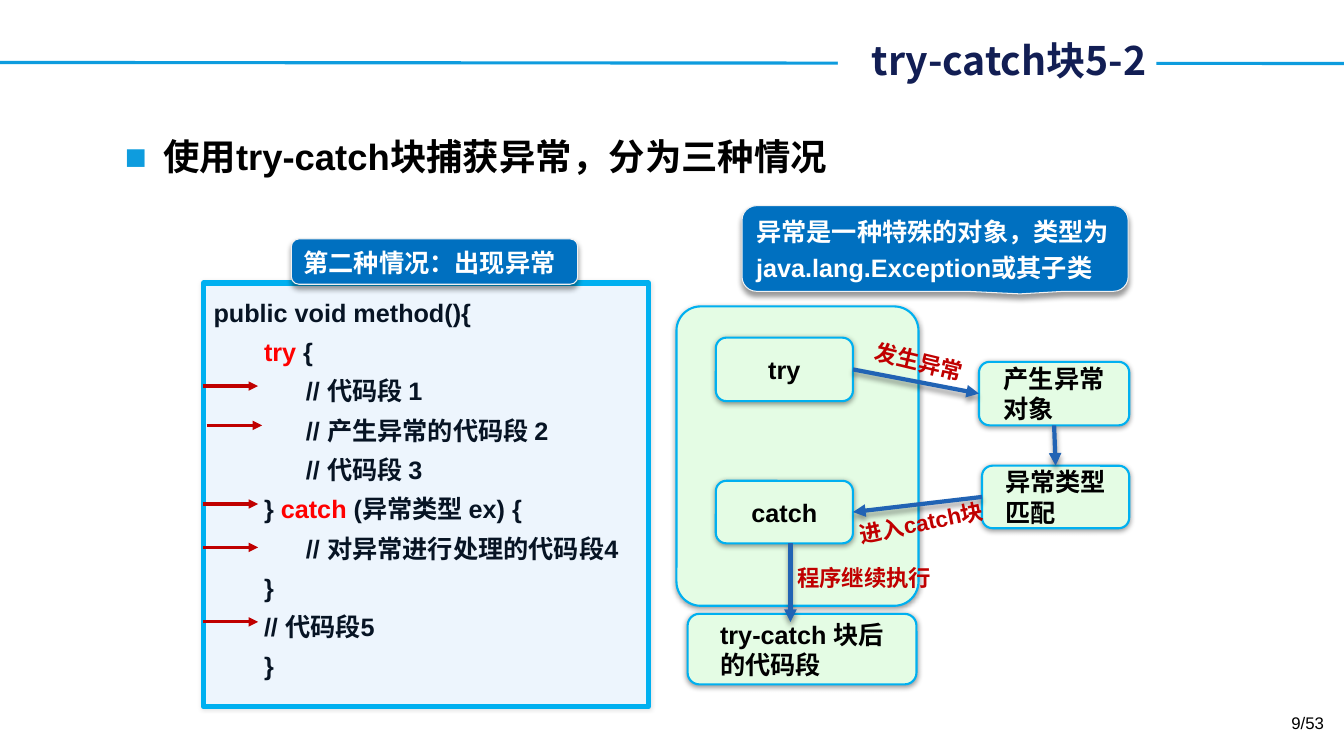
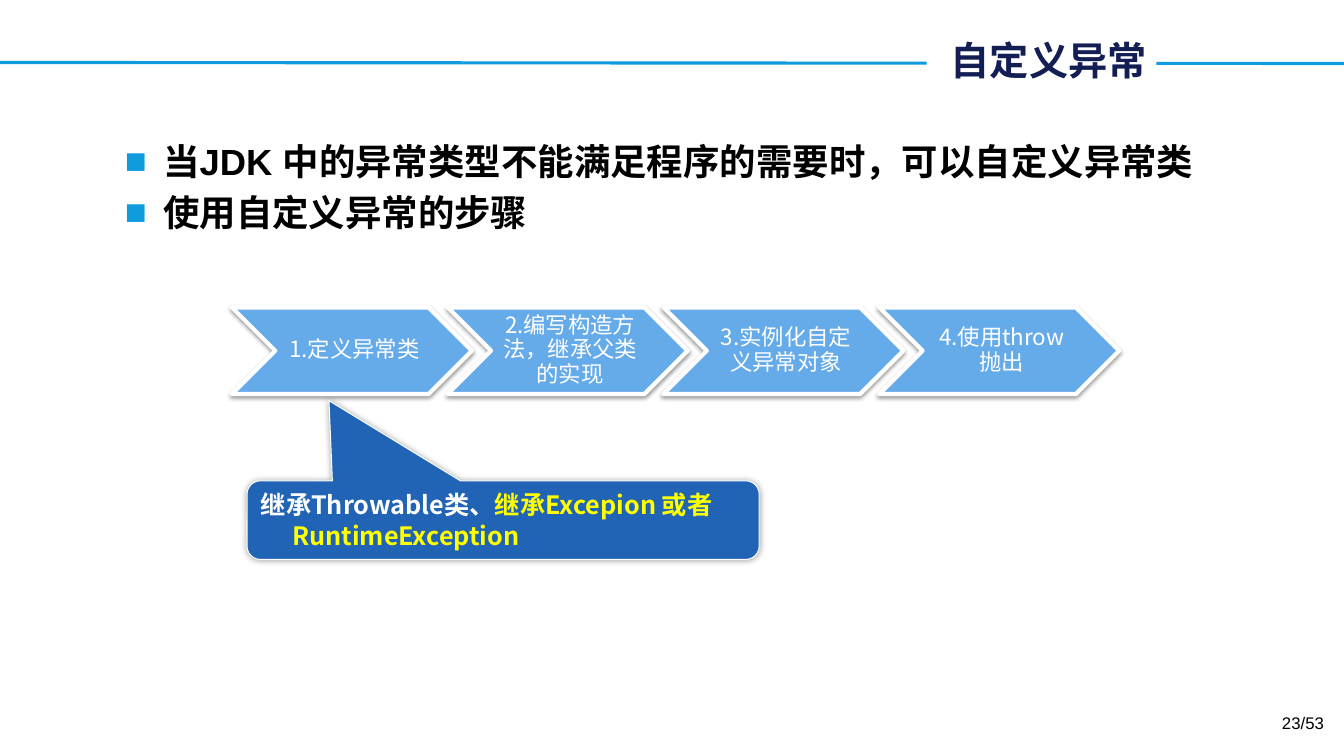
"""Build two slides on Java exception handling."""
import dataclasses
import typing

import lxml.etree
import pptx
import pptx.dml.color
import pptx.enum.shapes
import pptx.enum.text
import pptx.oxml.ns
import pptx.util

EMU_PER_PX = 9144
ARIAL = "Arial"
NOTO = "Noto Sans CJK SC"
COLORS = {
    "rule": "0E9CDE", "title": "121E54", "black": "000000", "white": "FFFFFF",
    "mint": "E4FCE4", "sky": "00B0F0", "paper": "EDF5FD", "ink": "071424",
    "keyword": "FF0000", "marker": "C00000", "banner": "0070C0",
    "edge": "F2F2F2", "arrow": "2163B4", "step": "65AAE9", "accent": "FFFF00",
}
SHAPES = pptx.enum.shapes.MSO_SHAPE
ALIGN = pptx.enum.text.PP_ALIGN
ANCHOR = pptx.enum.text.MSO_ANCHOR


class Frame(typing.NamedTuple):
    left: int
    top: int
    width: int
    height: int


class Shadow(typing.NamedTuple):
    alpha: int
    blur: float
    distance: float
    angle: int


class Span(typing.NamedTuple):
    text: str
    color: str


class Paragraph(typing.NamedTuple):
    spans: tuple[Span, ...]
    margin: int = 0


@dataclasses.dataclass(frozen=True)
class Style:
    fill: str
    line: str
    weight: float
    shadow: Shadow
    kind: typing.Any = SHAPES.ROUNDED_RECTANGLE
    adjustments: tuple[float, ...] = ()


@dataclasses.dataclass(frozen=True)
class Label:
    text: str
    frame: Frame
    rotation: float = 0
    inset: int = 0


SOFT = Shadow(40, 4, 1, 90)
DEEP = Shadow(40, 4, 3, 90)
NODE = Style("mint", "sky", 1.5, SOFT)
PANEL = dataclasses.replace(NODE, adjustments=(0.1,))
CODE = Style("paper", "sky", 4, Shadow(10, 3, 0, 0), adjustments=(0,))
BANNER = Style("banner", "edge", 0.75, DEEP)
NOTE = dataclasses.replace(BANNER, kind=SHAPES.ROUNDED_RECTANGULAR_CALLOUT,
                           adjustments=(0.22, 0.53, 0.17))
HINT = dataclasses.replace(NOTE, fill="arrow", line="white",
                           shadow=Shadow(40, 5, 0, 0),
                           adjustments=(-0.34, -1.52, 0.17))
CHEVRON = Style("step", "white", 3, Shadow(38, 3.1, 1.6, 90), SHAPES.CHEVRON)


def px(length: float) -> int:
    return round(length * EMU_PER_PX)


def rgb(name: str) -> pptx.dml.color.RGBColor:
    return pptx.dml.color.RGBColor.from_string(COLORS[name])


def add_node(parent, tag: str, **attributes: str):
    return lxml.etree.SubElement(parent, pptx.oxml.ns.qn(tag), attributes)


def cast_shadow(effects, shadow: Shadow) -> None:
    outer = add_node(effects, "a:outerShdw",
                     blurRad=str(pptx.util.Pt(shadow.blur)),
                     dist=str(pptx.util.Pt(shadow.distance)),
                     dir=str(shadow.angle * 60000), algn="ctr", rotWithShape="0")
    color = add_node(outer, "a:srgbClr", val=COLORS["black"])
    add_node(color, "a:alpha", val=str(shadow.alpha * 1000))


def write(box, text: str | typing.Sequence[Paragraph], *, size: int = 18,
          color: str = "black", font: str = ARIAL, bold: bool = True,
          align=ALIGN.LEFT, anchor=ANCHOR.TOP, insets=(10, 5, 10, 5),
          hanging: int = 0, line_spacing: float = 1, before: float = 0,
          bullet: str = "", centered_block: bool = False) -> None:
    frame = box.text_frame
    frame.word_wrap = not centered_block
    frame.vertical_anchor = anchor
    (frame.margin_left, frame.margin_top,
     frame.margin_right, frame.margin_bottom) = map(px, insets)
    if centered_block:
        frame._txBody.bodyPr.set("anchorCtr", "1")
    if isinstance(text, str):
        text = [Paragraph((Span(line, color),)) for line in text.split("\n")]
    for index, paragraph in enumerate(text):
        para = frame.add_paragraph() if index else frame.paragraphs[0]
        properties = para._p.get_or_add_pPr()
        properties.set("marL", str(px(paragraph.margin + hanging)))
        properties.set("indent", str(px(-hanging)))
        if bullet:
            tint = add_node(properties, "a:buClr")
            add_node(tint, "a:srgbClr", val=COLORS["rule"])
            add_node(properties, "a:buFont", typeface=ARIAL)
            add_node(properties, "a:buChar", char=bullet)
        para.alignment = align
        para.line_spacing = line_spacing
        if index and before:
            para.space_before = pptx.util.Pt(before)
        for part in paragraph.spans:
            span = para.add_run()
            span.text = part.text
            span.font.size = pptx.util.Pt(size)
            span.font.bold = bold
            span.font.color.rgb = rgb(part.color)
            span.font.name = font
            add_node(span._r.get_or_add_rPr(), "a:ea", typeface=NOTO)


def add_box(page, frame: Frame, style: Style):
    box = page.shapes.add_shape(style.kind, *map(px, frame))
    for index, value in enumerate(style.adjustments):
        box.adjustments[index] = value
    box.fill.solid()
    box.fill.fore_color.rgb = rgb(style.fill)
    box.line.color.rgb = rgb(style.line)
    box.line.width = pptx.util.Pt(style.weight)
    box.shadow.inherit = False
    cast_shadow(box._element.spPr.find(pptx.oxml.ns.qn("a:effectLst")), style.shadow)
    return box


def add_text(page, frame: Frame, text, **text_format):
    box = page.shapes.add_textbox(*map(px, frame))
    write(box, text, **text_format)
    return box


def add_line(page, start: tuple[int, int], end: tuple[int, int], color: str,
             weight: float, arrow: bool = True, shadow: Shadow | None = None):
    line = page.shapes.add_connector(
        pptx.enum.shapes.MSO_CONNECTOR.STRAIGHT, *map(px, (*start, *end)))
    line.line.color.rgb = rgb(color)
    line.line.width = pptx.util.Pt(weight)
    if arrow:
        add_node(line.line._get_or_add_ln(), "a:tailEnd", type="triangle")
    effects = add_node(line._element.spPr, "a:effectLst")
    if shadow:
        cast_shadow(effects, shadow)
    return line


def start_page(deck, title: str, title_frame: Frame, points: str, number: str,
               line_spacing: float = 1):
    page = deck.slides.add_slide(deck.slide_layouts[6])
    add_line(page, (0, 62), (1333, 63), "rule", 2.25, arrow=False)
    heading = add_text(page, title_frame, title, size=28, color="title",
                       font=NOTO, align=ALIGN.RIGHT, anchor=ANCHOR.MIDDLE)
    heading.fill.solid()
    heading.fill.fore_color.rgb = rgb("white")
    add_text(page, Frame(114, 133, 1115, 110), points, size=26, hanging=38,
             bullet="■", before=5.2, line_spacing=line_spacing)
    add_text(page, Frame(1012, 702, 311, 40), number, size=12, bold=False,
             align=ALIGN.RIGHT)
    return page


def code_line(*parts: str, margin: int = 50) -> Paragraph:
    keywords = ("try ", "catch ")
    return Paragraph(tuple(Span(part, "keyword" if part in keywords else "ink")
                           for part in parts), margin)


def add_code(page) -> None:
    listing = [
        code_line("public void method(){", margin=0),
        code_line("try ", "{"),
        code_line("      // 代码段 1"),
        code_line("      // 产生异常的代码段 2"),
        code_line("      // 代码段 3"),
        code_line("} ", "catch ", "(异常类型 ex) {"),
        code_line("      // 对异常进行处理的代码段4"),
        code_line("}"),
        code_line("// 代码段5"),
        code_line("}"),
    ]
    write(add_box(page, Frame(202, 281, 441, 420), CODE), listing, line_spacing=1.3)
    for left, top in ((201, 383), (205, 422), (201, 500), (201, 543), (201, 617)):
        add_line(page, (left, top), (left + 55, top), "marker", 2.25)
    write(add_box(page, Frame(289, 237, 284, 45), BANNER), "第二种情况：出现异常",
          color="white", anchor=ANCHOR.BOTTOM, hanging=31)


def add_flow(page) -> None:
    add_box(page, Frame(671, 304, 240, 297), PANEL)
    nodes = {
        "try": ("try", Frame(710, 335, 136, 63)),
        "catch": ("catch", Frame(710, 477, 136, 62)),
        "raise": ("产生异常\n对象", Frame(971, 359, 149, 63)),
        "match": ("异常类型\n匹配", Frame(974, 462, 146, 62)),
        "after": ("try-catch 块后\n的代码段", Frame(682, 609, 227, 70)),
    }
    boxes = {}
    for name, (text, frame) in nodes.items():
        boxes[name] = add_box(page, frame, NODE)
        write(boxes[name], text, anchor=ANCHOR.MIDDLE, centered_block=True)
    for source, source_side, target, target_side in (
            ("try", 3, "raise", 1), ("raise", 2, "match", 0),
            ("match", 1, "catch", 3)):
        link = add_line(page, (0, 0), (1, 1), "arrow", 3, shadow=DEEP)
        link.begin_connect(boxes[source], source_side)
        link.end_connect(boxes[target], target_side)
    add_line(page, (784, 539), (784, 617), "arrow", 3, shadow=DEEP)
    for label in (
            Label("发生异常", Frame(834, 338, 134, 40), 13.6, 21),
            Label("进入catch块", Frame(833, 500, 162, 40), -11.5),
            Label("程序继续执行", Frame(776, 555, 162, 40))):
        box = add_text(page, label.frame, label.text, size=16, color="marker",
                       align=ALIGN.CENTER, insets=(label.inset, 5, 0, 5))
        box.rotation = label.rotation


def build_catch_page(deck) -> None:
    page = start_page(deck, "try-catch块5-2", Frame(831, 31, 316, 57),
                      "使用try-catch块捕获异常，分为三种情况", "9/53", line_spacing=0.9)
    add_code(page)
    add_flow(page)
    write(add_box(page, Frame(736, 204, 383, 85), NOTE),
          "异常是一种特殊的对象，类型为\njava.lang.Exception或其子类",
          color="white", anchor=ANCHOR.BOTTOM, hanging=31, before=3.6)


def build_custom_page(deck) -> None:
    page = start_page(deck, "自定义异常", Frame(919, 31, 228, 57),
                      "当JDK 中的异常类型不能满足程序的需要时，可以自定义异常类\n"
                      "使用自定义异常的步骤", "23/53")
    steps = ("1.定义异常类", "2.编写构造方法，继承父类的实现",
             "3.实例化自定义异常对象", "4.使用throw抛出")
    first, pitch = Frame(230, 305, 238, 86), 214
    for index, step in enumerate(steps):
        frame = first._replace(left=first.left + index * pitch)
        add_box(page, frame, CHEVRON)
        add_text(page, frame._replace(left=frame.left + 43, width=152), step,
                 size=16, color="white", font=NOTO, bold=False, align=ALIGN.CENTER,
                 anchor=ANCHOR.MIDDLE, insets=(7, 2, 2, 2), line_spacing=0.9)
    hint = Paragraph((Span("继承Throwable类、", "white"),
                      Span("继承Excepion 或者RuntimeException", "accent")))
    write(add_box(page, Frame(245, 477, 508, 78), HINT), [hint], font=NOTO, hanging=31)


def main() -> None:
    deck = pptx.Presentation()
    deck.slide_width, deck.slide_height = px(1333), px(750)
    build_catch_page(deck)
    build_custom_page(deck)
    deck.save("out.pptx")


if __name__ == "__main__":
    main()
